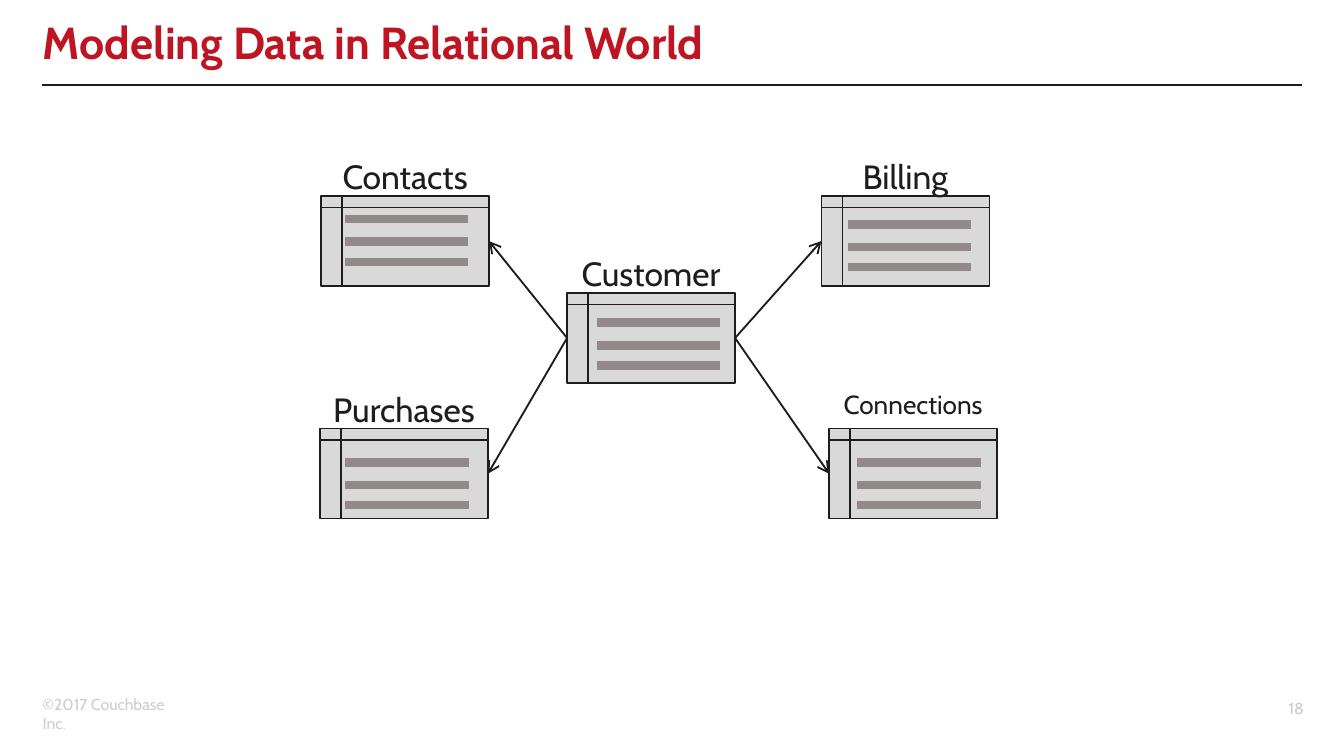
from dataclasses import dataclass

from lxml import etree
from pptx import Presentation
from pptx.dml.color import RGBColor
from pptx.enum.shapes import MSO_CONNECTOR, MSO_SHAPE
from pptx.enum.text import MSO_ANCHOR, PP_ALIGN
from pptx.oxml.ns import qn
from pptx.util import Pt

STRAIGHT = MSO_CONNECTOR.STRAIGHT
STORAGE = MSO_SHAPE.FLOWCHART_INTERNAL_STORAGE
TOP, MIDDLE = MSO_ANCHOR.TOP, MSO_ANCHOR.MIDDLE
LEFT, CENTER, RIGHT = PP_ALIGN.LEFT, PP_ALIGN.CENTER, PP_ALIGN.RIGHT
LEFT_SITE, RIGHT_SITE = 1, 3


@dataclass(frozen=True)
class Theme:
    font: str = "Cabin"
    ink: str = "1E1C1C"
    title: str = "BE1523"
    muted: str = "CCCCCC"
    card: str = "D9D9D9"
    row: str = "928A8A"
    title_size: float = 24
    label_size: float = 18
    small_label_size: float = 14
    footer_size: float = 8.5


THEME = Theme()
SLIDE_WIDTH, SLIDE_HEIGHT = 720, 405
CARD_WIDTH, CARD_HEIGHT = 90, 48.2
LABEL_RISE, LABEL_HEIGHT = 25, 28.8
ROW_WIDTH, ROW_OFFSETS = 66, (0, 12.2, 23)

# Name: card left and top, first row's offset inside the card, label size
ENTITIES = {
    "Billing": (440, 105.1, 14.4, 15.1, THEME.label_size),
    "Connections": (444.2, 229.7, 15.1, 18, THEME.small_label_size),
    "Purchases": (171.4, 229.7, 13.7, 18, THEME.label_size),
    "Contacts": (172, 105.1, 13, 12.2, THEME.label_size),
    "Customer": (303.8, 157, 15.8, 15.8, THEME.label_size),
}


def add_text(slide, box, text, *, size, color=THEME.ink, bold=False,
             align=LEFT, anchor=TOP, line_spacing=None):
    shape = slide.shapes.add_textbox(*map(Pt, box))
    frame = shape.text_frame
    frame.word_wrap = True
    frame.vertical_anchor = anchor
    paragraph = frame.paragraphs[0]
    paragraph.alignment = align
    paragraph.line_spacing = line_spacing
    run = paragraph.add_run()
    run.text = text
    run.font.name = THEME.font
    run.font.size = Pt(size)
    run.font.bold = bold
    run.font.color.rgb = RGBColor.from_string(color)
    return shape


def add_line(slide, start, end, color=THEME.ink, width=1, arrow=False):
    line = slide.shapes.add_connector(STRAIGHT, *map(Pt, (*start, *end)))
    line.line.color.rgb = RGBColor.from_string(color)
    line.line.width = Pt(width)
    properties = line._element.spPr
    if arrow:
        outline = properties.find(qn("a:ln"))
        etree.SubElement(outline, qn("a:tailEnd"), type="arrow")
    etree.SubElement(properties, qn("a:effectLst"))
    return line


def add_header(slide, box):
    left, top, width, height = box
    add_text(slide, box, "Modeling Data in Relational World",
             size=THEME.title_size, color=THEME.title, bold=True,
             anchor=MIDDLE, line_spacing=0.8)
    rule_top = top + height - 0.7
    add_line(slide, (left + 6.5, rule_top), (SLIDE_WIDTH - 22.3, rule_top))


def add_footer(slide, box):
    left, top, width, height = box
    style = {"size": THEME.footer_size, "color": THEME.muted}
    number_width = 58.3
    add_text(slide, (left, top, 93.6, 17.3), "©2017 Couchbase Inc.", **style)
    add_text(slide, (left + width - number_width, top, number_width, height),
             "18", align=RIGHT, anchor=MIDDLE, **style)


def add_entity(slide, box, name, row_left, row_top, label_size):
    left, top, width, height = box
    card = slide.shapes.add_shape(STORAGE, *map(Pt, box))
    card.shadow.inherit = False
    card.fill.solid()
    card.fill.fore_color.rgb = RGBColor.from_string(THEME.card)
    card.line.color.rgb = RGBColor.from_string(THEME.ink)
    card.line.width = Pt(0.75)
    add_text(slide, (left, top - LABEL_RISE, width, LABEL_HEIGHT), name,
             size=label_size, align=CENTER)
    # Data rows
    for offset in ROW_OFFSETS:
        x, y = left + row_left, top + row_top + offset
        add_line(slide, (x, y), (x + ROW_WIDTH, y), THEME.row, 4.5)
    return card


def add_relation(slide, source, target):
    to_right = target.left > source.left
    line = add_line(slide, (0, 0), (0, 0), arrow=True)
    line.begin_connect(source, RIGHT_SITE if to_right else LEFT_SITE)
    line.end_connect(target, LEFT_SITE if to_right else RIGHT_SITE)


def add_diagram(slide):
    cards = {}
    for name, (left, top, *details) in ENTITIES.items():
        box = (left, top, CARD_WIDTH, CARD_HEIGHT)
        cards[name] = add_entity(slide, box, name, *details)
    # Arrows from the customer to each related table
    customer = cards.pop("Customer")
    for card in cards.values():
        add_relation(slide, customer, card)


def main():
    presentation = Presentation()
    presentation.slide_width = Pt(SLIDE_WIDTH)
    presentation.slide_height = Pt(SLIDE_HEIGHT)
    slide = presentation.slides.add_slide(presentation.slide_layouts[6])
    add_footer(slide, (15.8, 368.6, 689.8, 21.6))
    add_header(slide, (15.8, 3.6, 630, 42.5))
    add_diagram(slide)
    presentation.save("out.pptx")


if __name__ == "__main__":
    main()
